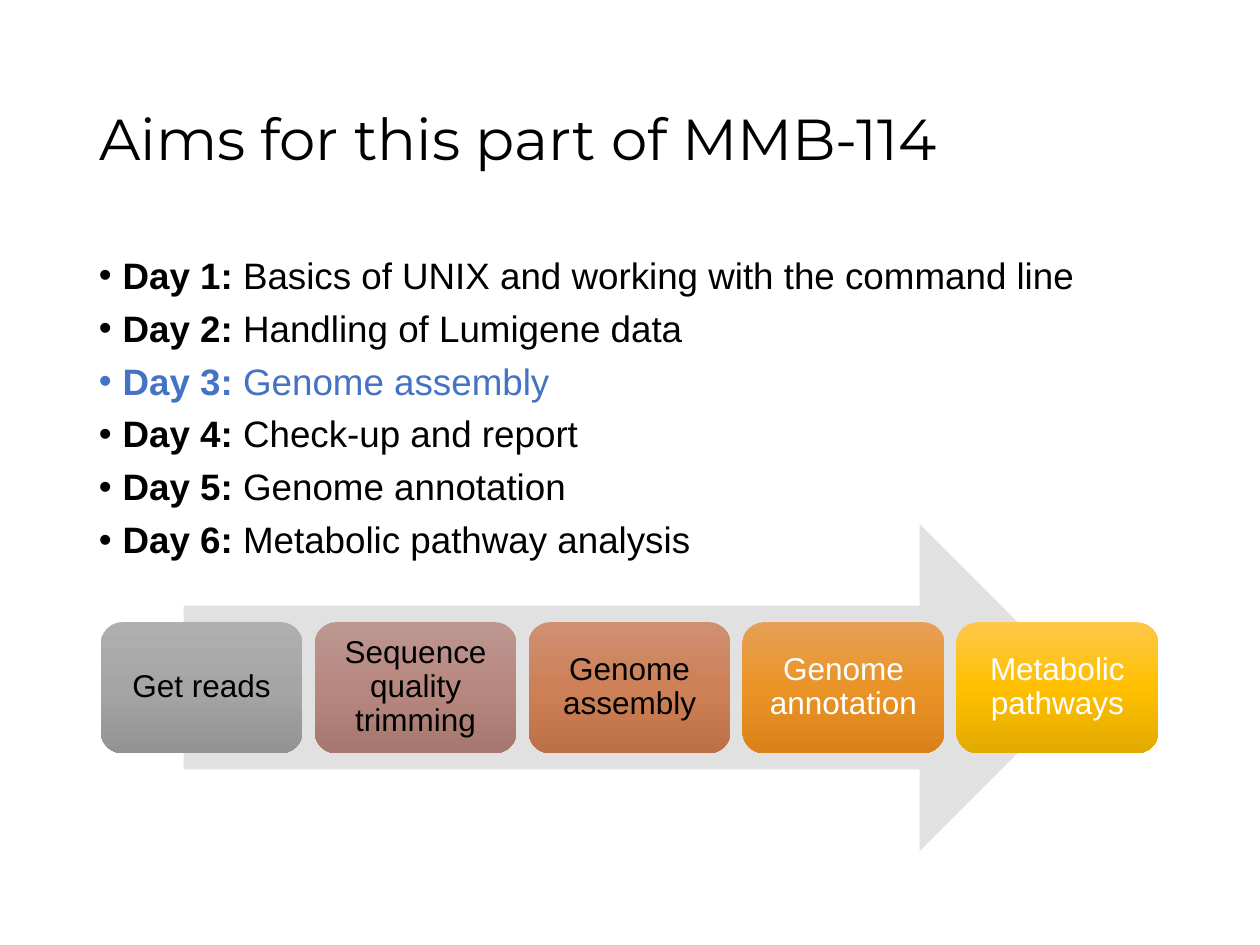
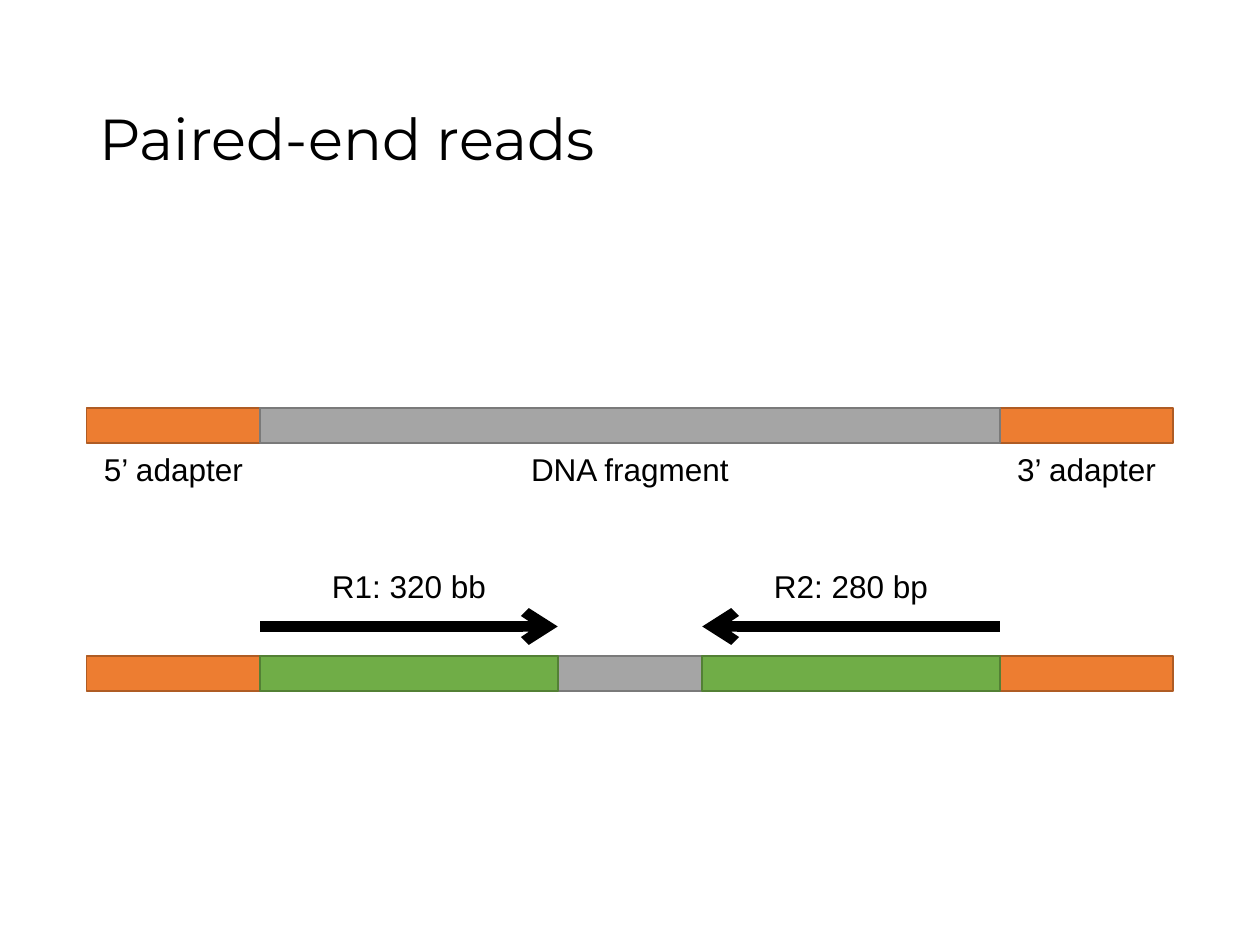
from copy import deepcopy
from dataclasses import dataclass
from lxml import etree
from pptx import Presentation
from pptx.dml.color import RGBColor
from pptx.enum.shapes import MSO_CONNECTOR, MSO_SHAPE
from pptx.enum.text import MSO_ANCHOR, MSO_AUTO_SIZE, PP_ALIGN
from pptx.oxml.ns import qn
from pptx.util import Pt

RECT, ROUND, ARROW = MSO_SHAPE.RECTANGLE, MSO_SHAPE.ROUNDED_RECTANGLE, MSO_SHAPE.RIGHT_ARROW
STRAIGHT = MSO_CONNECTOR.STRAIGHT
MIDDLE, TOP = MSO_ANCHOR.MIDDLE, MSO_ANCHOR.TOP
LEFT, CENTER = PP_ALIGN.LEFT, PP_ALIGN.CENTER
NO_FIT = MSO_AUTO_SIZE.NONE


@dataclass(frozen=True)
class Theme:
    title_font: str = "Montserrat"
    body_font: str = "Arial"
    title_size: float = 33
    body_size: float = 21
    label_size: float = 18
    black: str = "000000"
    white: str = "FFFFFF"
    highlight: str = "4472C4"
    flow_arrow: str = "E1E1E1"
    left: float = 49.5
    width: float = 621


T = Theme()

DAYS_TITLE = "Aims for this part of MMB-114"
DAYS = [
    "Basics of UNIX and working with the command line",
    "Handling of Lumigene data",
    "Genome assembly",
    "Check-up and report",
    "Genome annotation",
    "Metabolic pathway analysis",
]
CURRENT_DAY = 3
STEPS = [
    ("Get reads", T.black, ("AFAFAF", "A5A5A5", "939393")),
    ("Sequence quality trimming", T.black, ("BD9791", "B78880", "A5776F")),
    ("Genome assembly", T.black, ("CF9072", "CE8056", "BD7047")),
    ("Genome annotation", T.white, ("E6A056", "EA9427", "DA8219")),
    ("Metabolic pathways", T.white, ("FFC74B", "FFC000", "E3AA00")),
]

READS_TITLE = "Paired-end reads"
PARTS = {
    "adapter": ("ED7D31", "AF5C24"),
    "fragment": ("A5A5A5", "7A7A7A"),
    "read": ("70AD47", "538035"),
}
LIBRARY = [("adapter", 99.2, "5’ adapter"), ("fragment", 422.6, "DNA fragment"),
           ("adapter", 99.2, "3’ adapter")]
SEQUENCED = [("adapter", 99.2, ""), ("read", 170, "R1: 320 bb"), ("fragment", 82.6, ""),
             ("read", 170, "R2: 280 bp"), ("adapter", 99.2, "")]


def rgb(value):
    return RGBColor.from_string(value)


def box(left, top, width, height):
    return Pt(left), Pt(top), Pt(width), Pt(height)


def style(run, size, color=T.black, font=T.body_font, bold=False):
    run.font.name = font
    run.font.size = Pt(size)
    run.font.bold = bold
    run.font.color.rgb = rgb(color)


def frame(shape, anchor, inset=None):
    tf = shape.text_frame
    tf.word_wrap = True
    tf.auto_size = NO_FIT
    tf.vertical_anchor = anchor
    if inset is not None:
        tf.margin_left = tf.margin_right = tf.margin_top = tf.margin_bottom = Pt(inset)
    return tf


def titled_slide(prs, text):
    s = prs.slides.add_slide(prs.slide_layouts[5])
    title = s.shapes.title
    title.left, title.top, title.width, title.height = box(T.left, 28.75, T.width, 104.4)
    tf = frame(title, MIDDLE)
    tf.text = text
    p = tf.paragraphs[0]
    p.alignment = LEFT
    p.line_spacing = 0.9
    style(p.runs[0], T.title_size, font=T.title_font)
    return s


def add_shape(s, kind, left, top, width, height, fill=None, line=None):
    sp = s.shapes.add_shape(kind, *box(left, top, width, height))
    sp.shadow.inherit = False
    if fill:
        sp.fill.solid()
        sp.fill.fore_color.rgb = rgb(fill)
    if line:
        sp.line.color.rgb = rgb(line)
        sp.line.width = Pt(1)
    else:
        sp.line.fill.background()
    return sp


def set_gradient(sp, colors):
    sp.fill.gradient()
    sp.fill.gradient_angle = 270
    stop_list = sp._element.spPr.find(qn("a:gradFill")).find(qn("a:gsLst"))
    stop_list.append(deepcopy(stop_list[0]))
    for i, (stop, color) in enumerate(zip(sp.fill.gradient_stops, colors)):
        stop.position = i / 2
        stop.color.rgb = rgb(color)


def add_days(s):
    tf = frame(s.shapes.add_textbox(*box(T.left, 143.75, T.width, 342.6)), TOP)
    for day, topic in enumerate(DAYS, 1):
        p = tf.paragraphs[0] if day == 1 else tf.add_paragraph()
        pPr = p._p.get_or_add_pPr()
        pPr.set("marL", str(Pt(13.5)))
        pPr.set("indent", str(-Pt(13.5)))
        etree.SubElement(pPr, qn("a:buFont"), typeface=T.body_font)
        etree.SubElement(pPr, qn("a:buChar"), char="•")
        p.line_spacing = 0.9
        if day > 1:
            p.space_before = Pt(7.5)
        color = T.highlight if day == CURRENT_DAY else T.black
        for text, bold in ((f"Day {day}: ", True), (topic, False)):
            r = p.add_run()
            r.text = text
            style(r, T.body_size, color, bold=bold)


def add_steps(s):
    add_shape(s, ARROW, 105, 299.4, 514, 187, T.flow_arrow)
    for i, (text, color, gradient) in enumerate(STEPS):
        sp = add_shape(s, ROUND, 57.5 + i * 122.25, 355.5, 115.5, 75)
        set_gradient(sp, gradient)
        tf = frame(sp, MIDDLE, 8.6)
        tf.text = text
        p = tf.paragraphs[0]
        p.alignment = CENTER
        p.line_spacing = 0.9
        style(p.runs[0], T.label_size, color)


def add_label(s, text, left, top, width):
    tf = frame(s.shapes.add_textbox(*box(left, top, width, 29)), TOP)
    tf.text = text
    p = tf.paragraphs[0]
    p.alignment = CENTER
    style(p.runs[0], T.label_size)


def add_read_arrow(s, start, end, y):
    cx = s.shapes.add_connector(STRAIGHT, Pt(start), Pt(y), Pt(end), Pt(y))
    cx.line.color.rgb = rgb(T.black)
    cx.line.width = Pt(6)
    spPr = cx._element.spPr
    etree.SubElement(spPr.find(qn("a:ln")), qn("a:tailEnd"), type="arrow")
    etree.SubElement(spPr, qn("a:effectLst"))


def add_strand(s, segments, top, label_top):
    placed, left = [], T.left
    for part, width, label in segments:
        placed.append((part, left, width, label))
        left += width
    layers = list(PARTS)
    for part, left, width, label in sorted(placed, key=lambda seg: layers.index(seg[0])):
        add_shape(s, RECT, left, top, width, 20, *PARTS[part])
        if label:
            add_label(s, label, left, label_top, width)
    return [(left, left + width) for part, left, width, _ in placed if part == "read"]


def main():
    prs = Presentation()
    prs.slide_width, prs.slide_height = Pt(720), Pt(540)

    s = titled_slide(prs, DAYS_TITLE)
    add_days(s)
    add_steps(s)

    s = titled_slide(prs, READS_TITLE)
    add_strand(s, LIBRARY, 233, 253.5)
    forward, backward = add_strand(s, SEQUENCED, 375, 320.5)
    for start, end in (forward, backward[::-1]):
        add_read_arrow(s, start, end, 358)

    prs.save("out.pptx")


if __name__ == "__main__":
    main()
